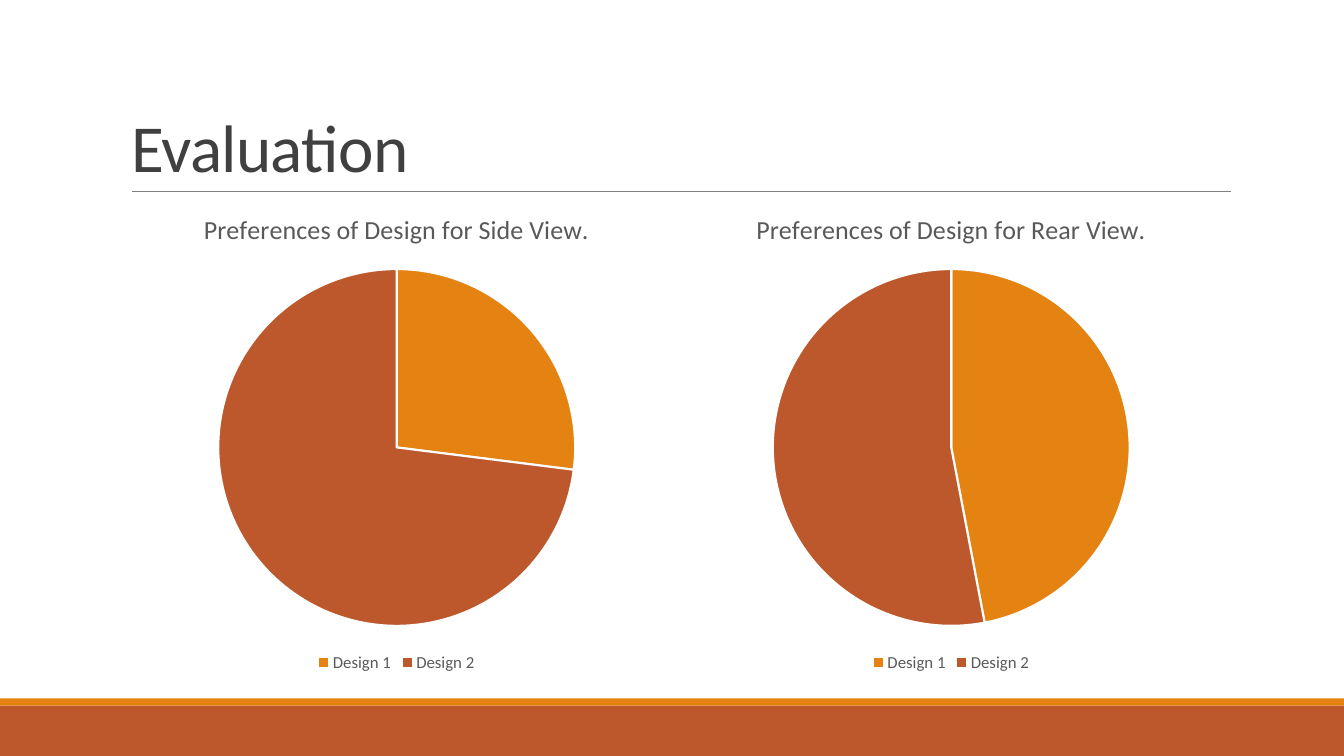
"""Build the Evaluation slide with two pie charts of design preferences."""
from lxml import etree
from pptx import Presentation
from pptx.chart.data import CategoryChartData
from pptx.dml.color import RGBColor
from pptx.enum.chart import XL_CHART_TYPE, XL_LEGEND_POSITION
from pptx.enum.shapes import MSO_CONNECTOR, MSO_SHAPE
from pptx.enum.text import MSO_ANCHOR, MSO_AUTO_SIZE, PP_ALIGN
from pptx.oxml import parse_xml
from pptx.oxml.ns import nsdecls, qn
from pptx.util import Inches, Pt

PIE = XL_CHART_TYPE.PIE
BOTTOM_LEGEND = XL_LEGEND_POSITION.BOTTOM
STRAIGHT = MSO_CONNECTOR.STRAIGHT
RECTANGLE = MSO_SHAPE.RECTANGLE
BOTTOM = MSO_ANCHOR.BOTTOM
NO_AUTOFIT = MSO_AUTO_SIZE.NONE
LEFT = PP_ALIGN.LEFT

FONT = "Calibri"
COLORS = {
    "orange": "E48312",
    "rust": "BD582C",
    "rule": "808080",
    "title": "404040",
    "label": "595959",
    "white": "FFFFFF",
}
CHART_TOP, CHART_HEIGHT = 1.9, 4.81
PIE_TOP, PIE_SIZE = 2.67, 3.54


def color(name):
    return RGBColor.from_string(COLORS[name])


def style_font(font, size, color_name):
    font.name = FONT
    font.size = Pt(size)
    font.bold = False
    font.color.rgb = color(color_name)


presentation = Presentation()
presentation.slide_width = Inches(13.33)
presentation.slide_height = Inches(7.5)
slide = presentation.slides.add_slide(presentation.slide_layouts[5])

for top, height, fill in [(7, 0.5, "rust"), (6.93, 0.07, "orange")]:
    band = slide.shapes.add_shape(
        RECTANGLE, 0, Inches(top), presentation.slide_width, Inches(height))
    band.shadow.inherit = False
    band.fill.solid()
    band.fill.fore_color.rgb = color(fill)
    band.line.fill.background()

rule = slide.shapes.add_connector(
    STRAIGHT, Inches(1.31), Inches(1.9), Inches(12.21), Inches(1.9))
rule.line.color.rgb = color("rule")
rule.line.width = Pt(0.5)
etree.SubElement(rule._element.spPr, qn("a:effectLst"))

title = slide.shapes.title
title.left, title.top = Inches(1.2), Inches(0.31)
title.width, title.height = Inches(11), Inches(1.59)
title.text_frame.text = "Evaluation"
title.text_frame.auto_size = NO_AUTOFIT
title.text_frame.vertical_anchor = BOTTOM
paragraph = title.text_frame.paragraphs[0]
paragraph.alignment = LEFT
paragraph.line_spacing = 0.85
style_font(paragraph.font, 48, "title")
paragraph.runs[0]._r.get_or_add_rPr().set("spc", "-50")

for view, left, width, values in [
    ("Side", 1.2, 5.47, (27, 73)),
    ("Rear", 6.67, 5.53, (47, 53)),
]:
    heading = f"Preferences of Design for {view} View."
    chart_data = CategoryChartData()
    chart_data.categories = ["Design 1", "Design 2"]
    chart_data.add_series(heading, values)
    chart = slide.shapes.add_chart(
        PIE, Inches(left), Inches(CHART_TOP), Inches(width),
        Inches(CHART_HEIGHT), chart_data).chart
    chart.font.name = FONT
    chart.font.size = Pt(10)

    chart.has_title = True
    chart.chart_title.include_in_layout = False
    chart.chart_title.text_frame.text = heading
    style_font(chart.chart_title.text_frame.paragraphs[0].font, 18.6, "label")

    chart.has_legend = True
    chart.legend.position = BOTTOM_LEGEND
    chart.legend.include_in_layout = False
    style_font(chart.legend.font, 12, "label")

    plot = chart.plots[0]
    plot.vary_by_categories = True
    for index, fill in enumerate(["orange", "rust"]):
        point = plot.series[0].points[index]
        point.format.fill.solid()
        point.format.fill.fore_color.rgb = color(fill)
        point.format.line.color.rgb = color("white")
        point.format.line.width = Pt(1.5)

    plot_area = chart._chartSpace.find(".//" + qn("c:plotArea"))
    for layout in plot_area.findall(qn("c:layout")):
        plot_area.remove(layout)
    x, y = (1 - PIE_SIZE / width) / 2, (PIE_TOP - CHART_TOP) / CHART_HEIGHT
    plot_area.insert(0, parse_xml(
        f'<c:layout {nsdecls("c")}><c:manualLayout>'
        '<c:layoutTarget val="inner"/>'
        '<c:xMode val="edge"/><c:yMode val="edge"/>'
        f'<c:x val="{x:.4f}"/><c:y val="{y:.4f}"/>'
        f'<c:w val="{PIE_SIZE / width:.4f}"/>'
        f'<c:h val="{PIE_SIZE / CHART_HEIGHT:.4f}"/>'
        '</c:manualLayout></c:layout>'))

presentation.save("out.pptx")
